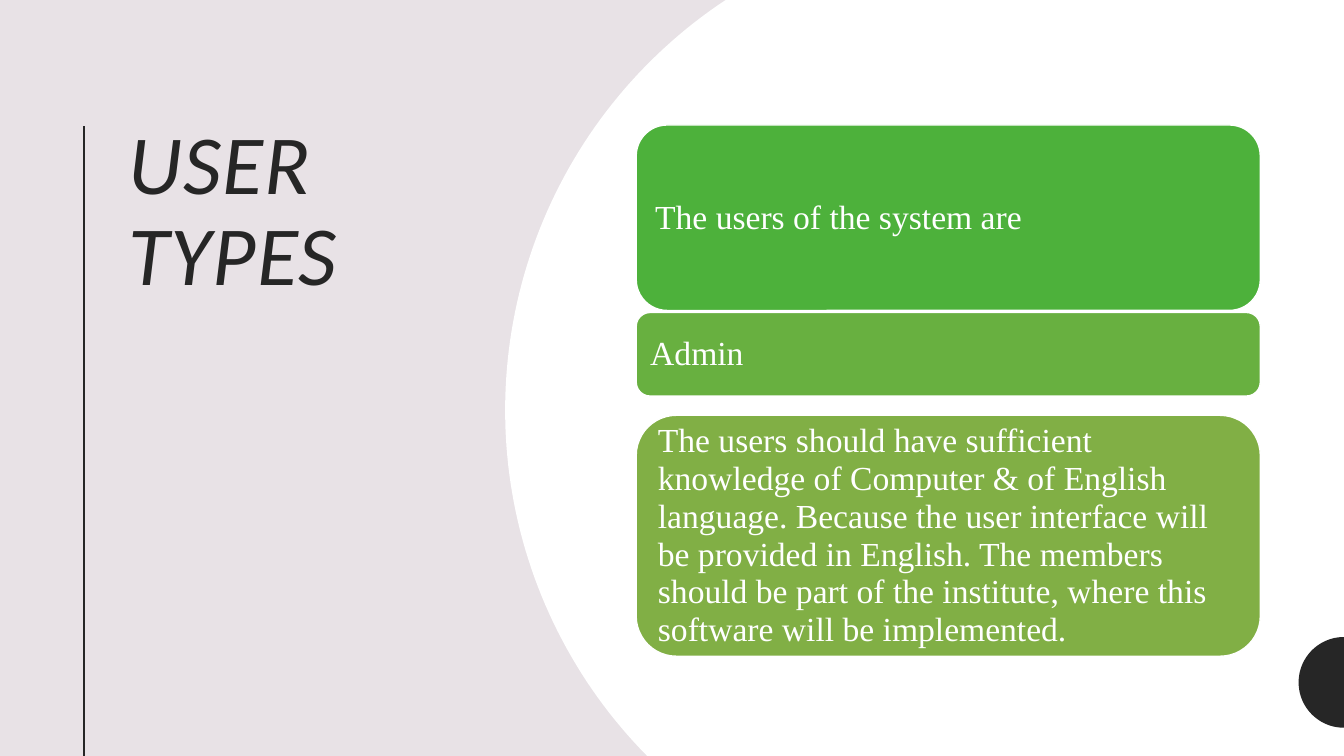
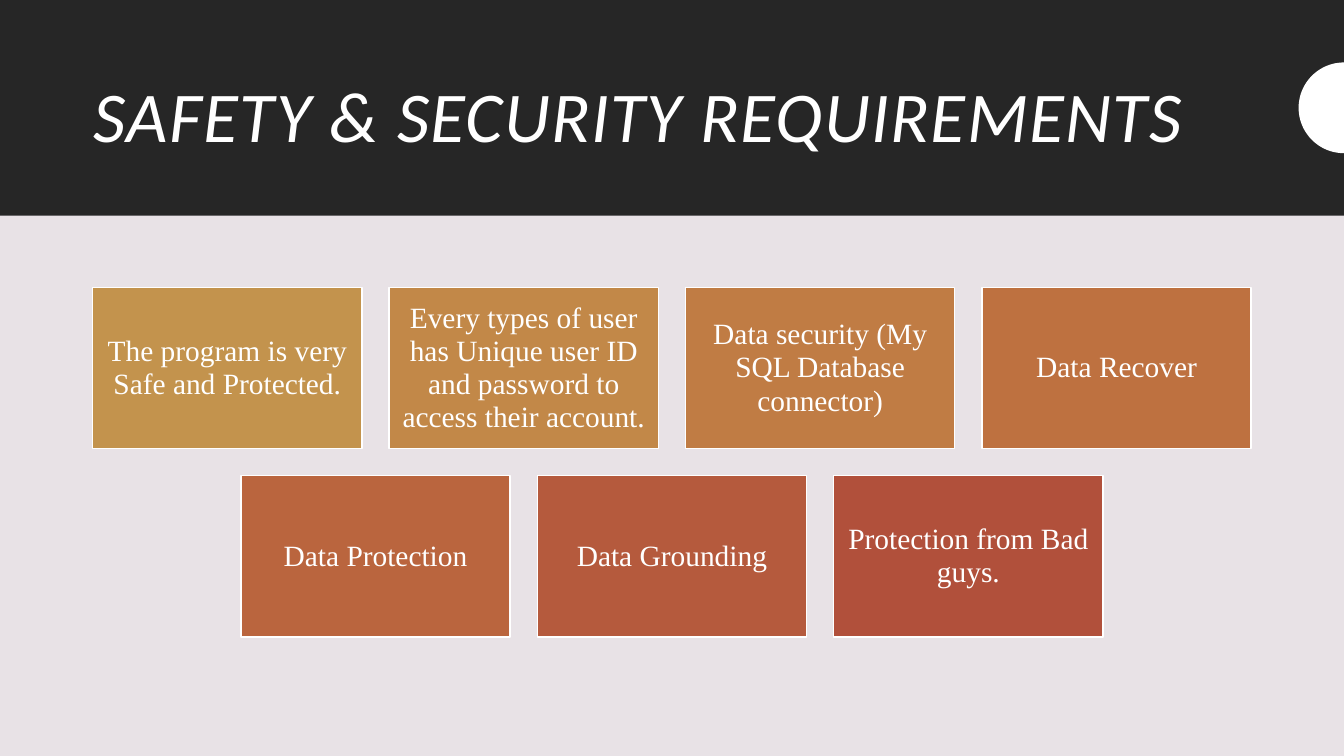
import math

import lxml.etree
import pptx
import pptx.dml.color
import pptx.enum.shapes
import pptx.enum.text
import pptx.oxml.ns
import pptx.util

Inches = pptx.util.Inches
Pt = pptx.util.Pt
RGB = pptx.dml.color.RGBColor.from_string
MSO = pptx.enum.shapes.MSO_SHAPE
ALIGN = pptx.enum.text.PP_ALIGN
ANCHOR = pptx.enum.text.MSO_ANCHOR

WIDE, HIGH = 13.33, 7.5
HUES = {"pale": "E8E2E6", "dark": "262626", "white": "FFFFFF"}


def disc(slide, mid, radius, hue):
    top = max(0, mid[1] - radius)
    base = min(HIGH, mid[1] + radius)
    first = math.asin(max(-1, (top - mid[1]) / radius))
    last = math.asin(min(1, (base - mid[1]) / radius))
    steps = 90
    curve = []
    for i in range(steps + 1):
        turn = first + (last - first) * i / steps
        curve.append((Inches(mid[0] - radius * math.cos(turn)),
                      Inches(mid[1] + radius * math.sin(turn))))
    curve.append((Inches(WIDE), Inches(base)))
    form = slide.shapes.build_freeform(Inches(WIDE), Inches(top))
    form.add_line_segments(curve, close=True)
    shape = form.convert_to_shape()
    shape.shadow.inherit = False
    shape.fill.solid()
    shape.fill.fore_color.rgb = RGB(hue)
    shape.line.fill.background()


def card(slide, kind, box, hue, text, size, align, inset):
    shape = slide.shapes.add_shape(kind, *map(Inches, box))
    shape.shadow.inherit = False
    shape.fill.solid()
    shape.fill.fore_color.rgb = RGB(hue)
    shape.line.color.rgb = RGB(HUES["white"])
    shape.line.width = Pt(1)
    frame = shape.text_frame
    frame.text = text
    frame.word_wrap = True
    frame.vertical_anchor = ANCHOR.MIDDLE
    frame.margin_left = frame.margin_right = Inches(inset)
    frame.margin_top = frame.margin_bottom = Inches(inset)
    para = frame.paragraphs[0]
    para.alignment = align
    para.line_spacing = 0.94
    font = para.runs[0].font
    font.name = "Times New Roman"
    font.size = Pt(size)
    font.color.rgb = RGB(HUES["white"])


deck = pptx.Presentation()
deck.slide_width, deck.slide_height = Inches(WIDE), Inches(HIGH)
back = deck.slide_master.background.fill
back.solid()
back.fore_color.rgb = RGB(HUES["pale"])

heads = [
    ("USER TYPES", (1.17, 1.16, 3.41, 5.26), 60, "dark", ANCHOR.TOP),
    ("SAFETY & SECURITY REQUIREMENTS", (0.83, 0.46, 11.67, 1.45), 51, "white", ANCHOR.MIDDLE),
]
for text, box, size, hue, anchor in heads:
    slide = deck.slides.add_slide(deck.slide_layouts[5])
    title = slide.shapes.title
    title.left, title.top, title.width, title.height = map(Inches, box)
    frame = title.text_frame
    frame.text = text
    frame.word_wrap = True
    frame.auto_size = pptx.enum.text.MSO_AUTO_SIZE.NONE
    frame.vertical_anchor = anchor
    para = frame.paragraphs[0]
    para.alignment = ALIGN.LEFT
    para.line_spacing = 0.9
    run = para.runs[0]
    run.font.name = "Calibri"
    run.font.size = Pt(size)
    run.font.italic = True
    run.font.color.rgb = RGB(HUES[hue])
    run._r.get_or_add_rPr().set("spc", "100")

users, safety = deck.slides

rule = users.shapes.add_connector(
    pptx.enum.shapes.MSO_CONNECTOR.STRAIGHT,
    Inches(0.83), Inches(1.25), Inches(0.83), Inches(HIGH))
rule.line.color.rgb = RGB(HUES["dark"])
rule.line.width = Pt(1.5)
lxml.etree.SubElement(rule._element.spPr, pptx.oxml.ns.qn("a:effectLst"))

disc(users, (9.89, 4.07), 4.88, HUES["white"])
disc(users, (WIDE, 6.77), 0.45, HUES["dark"])

notes = [
    (1.24, 1.84, "4DB13B", "The users of the system are"),
    (3.1, 0.83, "68B040", "Admin"),
    (4.12, 2.39, "81AF45",
     "The users should have sufficient knowledge of Computer & of English language. "
     "Because the user interface will be provided in English. The members should be "
     "part of the institute, where this software will be implemented."),
]
for top, tall, hue, text in notes:
    card(users, MSO.ROUNDED_RECTANGLE, (6.31, top, 6.19, tall), hue, text, 24, ALIGN.LEFT, 0.1)

band = safety.shapes.add_shape(MSO.RECTANGLE, 0, 0, Inches(WIDE), Inches(2.14))
band.shadow.inherit = False
band.fill.solid()
band.fill.fore_color.rgb = RGB(HUES["dark"])
band.line.fill.background()
safety.shapes.title._element.addprevious(band._element)
disc(safety, (WIDE, 1.07), 0.45, HUES["white"])

rows = [
    [("C3934D", "The program is very Safe and Protected."),
     ("C28848", "Every types of user has Unique user ID and password to access their account."),
     ("C07C44", "Data security (My SQL Database connector)"),
     ("BE7140", "Data Recover")],
    [("BA653E", "Data Protection"),
     ("B55A3D", "Data Grounding"),
     ("B1503B", "Protection from Bad guys.")],
]
wide, tall, gap = 2.67, 1.6, 0.27
for i, row in enumerate(rows):
    left = (WIDE - len(row) * wide - (len(row) - 1) * gap) / 2
    top = 2.85 + i * (tall + gap)
    for j, (hue, text) in enumerate(row):
        box = (left + j * (wide + gap), top, wide, tall)
        card(safety, MSO.RECTANGLE, box, hue, text, 21, ALIGN.CENTER, 0.09)

deck.save("out.pptx")
